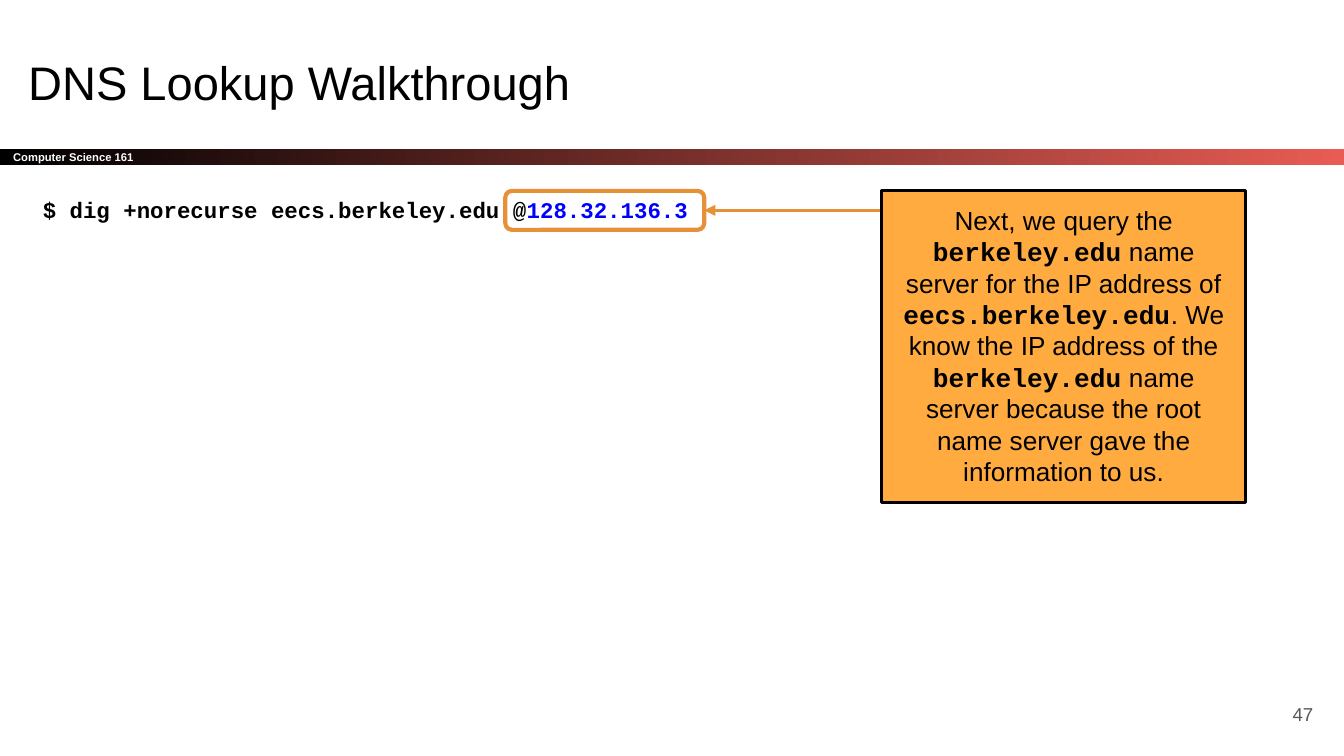
from dataclasses import dataclass

from lxml.etree import SubElement
from pptx import Presentation
from pptx.dml.color import RGBColor
from pptx.enum.shapes import MSO_CONNECTOR, MSO_SHAPE
from pptx.enum.text import MSO_ANCHOR, PP_ALIGN
from pptx.oxml.ns import qn
from pptx.util import Inches, Pt

WIDTH = 10
HEIGHT = WIDTH * 9 / 16

TITLE = "DNS Lookup Walkthrough"
COURSE = "Computer Science 161"
PAGE = "47"
COMMAND = [
    ("$ dig +norecurse eecs.berkeley.edu @", "code"),
    ("128.32.136.3", "address"),
]
EXPLANATION = [
    ("Next, we query the ", "callout"),
    ("berkeley.edu", "callout_code"),
    (" name server for the IP address of ", "callout"),
    ("eecs.berkeley.edu", "callout_code"),
    (". We know the IP address of the ", "callout"),
    ("berkeley.edu", "callout_code"),
    (" name server because the root name server gave the information to us.", "callout"),
]


@dataclass(frozen=True)
class Theme:
    black: str = "000000"
    white: str = "FFFFFF"
    gray: str = "595959"
    blue: str = "0000FF"
    red: str = "E85C54"
    orange: str = "E69138"
    light_orange: str = "FFAB40"
    sans: str = "Arial"
    mono: str = "Courier New"

    def styles(self):
        """Font name, size, colour and weight for each kind of text."""
        rows = {
            "title": (self.sans, 25.2, self.black, False),
            "course": (self.sans, 6, self.white, True),
            "page": (self.sans, 10, self.gray, False),
            "code": (self.mono, 12, self.black, True),
            "address": (self.mono, 12, self.blue, True),
            "callout": (self.sans, 14, self.black, False),
            "callout_code": (self.mono, 14, self.black, True),
        }
        return {
            kind: ({"name": name, "size": Pt(size), "bold": bold}, color)
            for kind, (name, size, color, bold) in rows.items()
        }


THEME = Theme()
STYLES = THEME.styles()

# Left, top, width, height; the highlight and the callout share a top edge.
ROW_TOP = 1.42
BOXES = {
    "title": (0.11, 0.3, 9.32, 0.63),
    "band": (0, 1.11, WIDTH, 0.12),
    "command": (0.22, 1.36, 6.83, 4.12),
    "page": (9.27, 5.1, 0.6, 0.43),
    "highlight": (3.76, ROW_TOP, 1.48, 0.29),
    "callout": (6.56, ROW_TOP, 2.71, 2.32),
}


def box(name):
    return [Inches(length) for length in BOXES[name]]


def write(shape, runs, anchor=MSO_ANCHOR.TOP, **paragraph_format):
    frame = shape.text_frame
    frame.word_wrap = True
    frame.vertical_anchor = anchor
    for side in ("left", "top", "right", "bottom"):
        setattr(frame, f"margin_{side}", Inches(0.1))
    paragraph = frame.paragraphs[0]
    for attribute, value in paragraph_format.items():
        setattr(paragraph, attribute, value)
    for text, kind in runs:
        run = paragraph.add_run()
        run.text = text
        font_values, color = STYLES[kind]
        for attribute, value in font_values.items():
            setattr(run.font, attribute, value)
        run.font.color.rgb = RGBColor.from_string(color)


def set_line(shape, color, width):
    shape.line.color.rgb = RGBColor.from_string(color)
    shape.line.width = Pt(width)


def add_box(slide, name, preset):
    shape = slide.shapes.add_shape(preset, *box(name))
    shape.shadow.inherit = False
    return shape


def add_band(slide):
    band = add_box(slide, "band", MSO_SHAPE.RECTANGLE)
    band.line.fill.background()
    band.fill.gradient()
    band.fill.gradient_angle = 0
    for stop, color in zip(band.fill.gradient_stops, (THEME.black, THEME.red)):
        stop.color.rgb = RGBColor.from_string(color)
    write(band, [(COURSE, "course")], MSO_ANCHOR.MIDDLE, alignment=PP_ALIGN.LEFT)


def add_title(slide):
    title = slide.shapes.title
    title.left, title.top, title.width, title.height = box("title")
    write(title, [(TITLE, "title")], alignment=PP_ALIGN.LEFT, line_spacing=1.0)


def add_text(slide, name, runs, **options):
    write(slide.shapes.add_textbox(*box(name)), runs, **options)


def add_highlight(slide):
    highlight = add_box(slide, "highlight", MSO_SHAPE.ROUNDED_RECTANGLE)
    highlight.adjustments[0] = 0.17
    highlight.fill.background()
    set_line(highlight, THEME.orange, 2.25)
    return highlight


def add_arrow(slide, target):
    """Arrow from behind the callout to the right edge of the target."""
    callout_left, _, callout_width, _ = box("callout")
    start = callout_left + int(callout_width * 0.22)
    middle = target.top + target.height // 2
    arrow = slide.shapes.add_connector(
        MSO_CONNECTOR.STRAIGHT, start, middle, target.left + target.width, middle
    )
    set_line(arrow, THEME.orange, 1.5)
    properties = arrow.element.spPr
    SubElement(properties.find(qn("a:ln")), qn("a:tailEnd"), type="triangle")
    SubElement(properties, qn("a:effectLst"))


def add_callout(slide):
    callout = add_box(slide, "callout", MSO_SHAPE.RECTANGLE)
    callout.fill.solid()
    callout.fill.fore_color.rgb = RGBColor.from_string(THEME.light_orange)
    set_line(callout, THEME.black, 1.5)
    write(callout, EXPLANATION, alignment=PP_ALIGN.CENTER, line_spacing=Pt(16.8))


def main():
    presentation = Presentation()
    presentation.slide_width = Inches(WIDTH)
    presentation.slide_height = Inches(HEIGHT)
    slide = presentation.slides.add_slide(presentation.slide_layouts[5])
    add_band(slide)
    add_title(slide)
    add_text(slide, "command", COMMAND)
    add_text(slide, "page", [(PAGE, "page")], anchor=MSO_ANCHOR.MIDDLE,
             alignment=PP_ALIGN.RIGHT)
    add_arrow(slide, add_highlight(slide))
    add_callout(slide)
    presentation.save("out.pptx")


if __name__ == "__main__":
    main()
